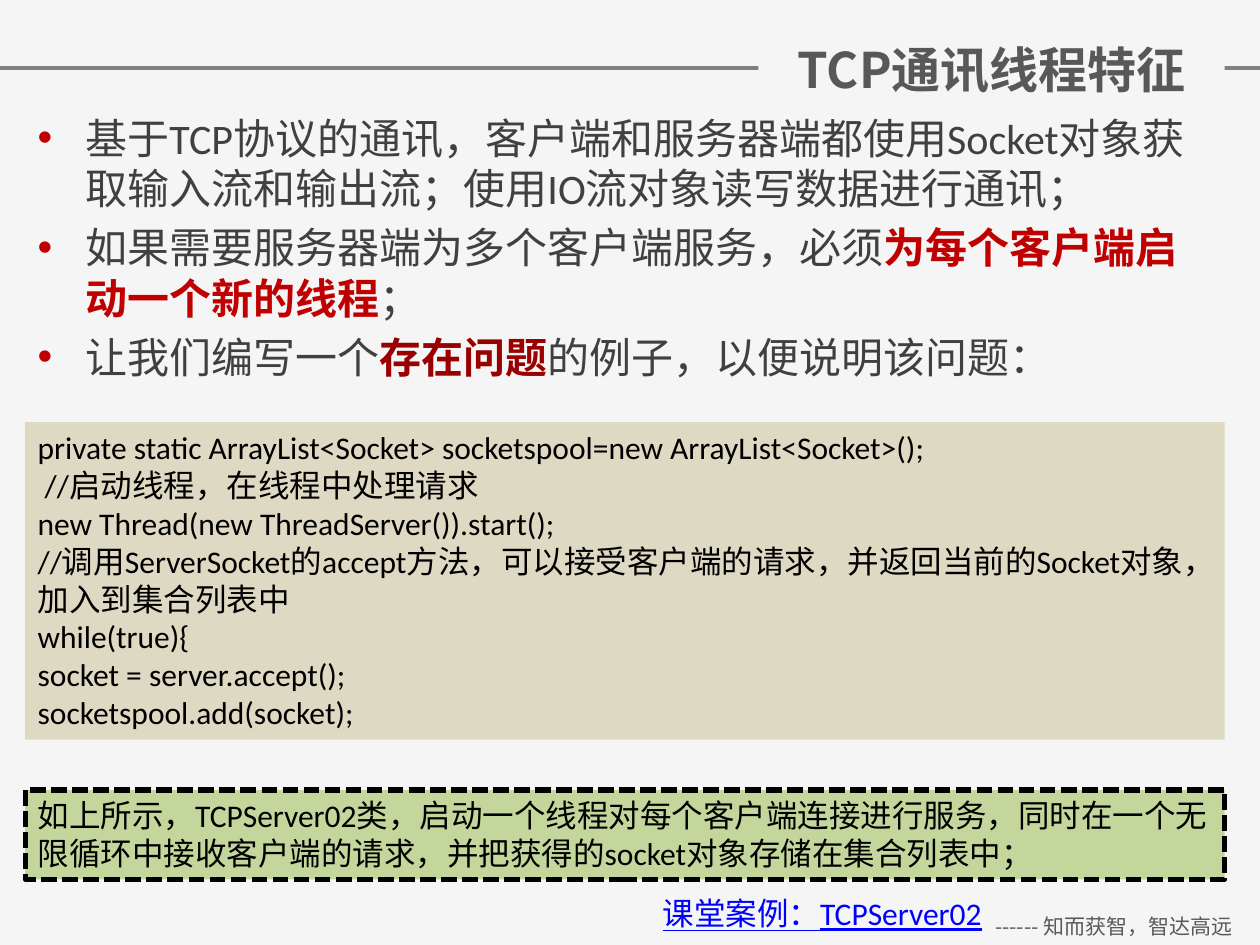
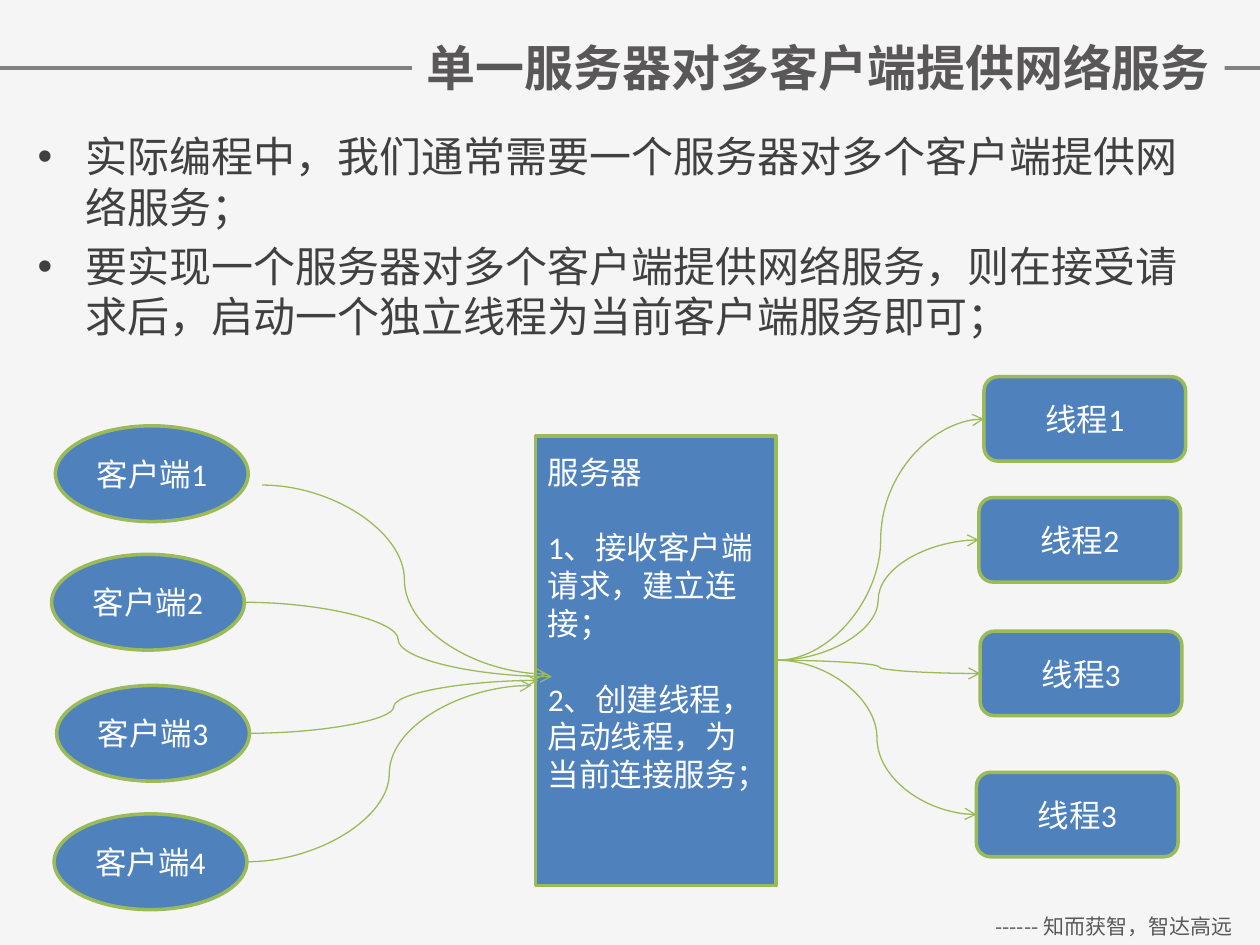
from dataclasses import dataclass
from typing import Optional

import pptx
import pptx.dml.color
import pptx.enum.dml
import pptx.enum.shapes
import pptx.enum.text
import pptx.oxml.ns
import pptx.util
from lxml import etree
from pptx.util import Inches, Pt

SHAPE = pptx.enum.shapes.MSO_SHAPE
CONNECTOR = pptx.enum.shapes.MSO_CONNECTOR
ALIGN = pptx.enum.text.PP_ALIGN
ANCHOR = pptx.enum.text.MSO_ANCHOR
DASH = pptx.enum.dml.MSO_LINE

LATIN, CJK = "Calibri", "Noto Sans CJK SC"
PAPER, RULE, TITLE, FOOTER = "F5F5F5", "808080", "595758", "595959"
BODY, RED, DARK_RED = "404040", "C00000", "990000"
BLACK, WHITE, LINK = "000000", "FFFFFF", "0000FF"
CODE_FILL, NOTE_FILL = "DDD9C3", "C3D69B"
NODE_FILL, NODE_LINE = "4F81BD", "9BBB59"

LEFT, WIDTH = 0.2, 9.52
CLIENT_SIZE, THREAD_SIZE = (1.53, 0.76), (1.6, 0.67)
SERVER_OUT = (6.17, 5.24)


@dataclass(frozen=True)
class Box:
    left: float
    top: float
    width: float
    height: float


@dataclass(frozen=True)
class Style:
    size: float
    color: str
    font: str = LATIN
    bold: bool = False
    underline: bool = False
    align: Optional[ALIGN] = None
    anchor: ANCHOR = ANCHOR.TOP


@dataclass(frozen=True)
class Span:
    text: str
    strong: Optional[str] = None  # colour of a bold highlight


@dataclass(frozen=True)
class Client:
    number: int
    left: float
    top: float
    start: tuple[float, float]
    end: tuple[float, float]


@dataclass(frozen=True)
class Thread:
    number: int
    left: float
    top: float


TITLE_STYLE = Style(28, TITLE, CJK, bold=True, align=ALIGN.CENTER, anchor=ANCHOR.MIDDLE)
FOOTER_STYLE = Style(12, FOOTER, CJK, align=ALIGN.CENTER)
BODY_STYLE = Style(24, BODY)
PANEL_STYLE = Style(18, BLACK)
LINK_STYLE = Style(18, LINK, underline=True)
NODE_STYLE = Style(18, WHITE, align=ALIGN.CENTER, anchor=ANCHOR.MIDDLE)
SERVER_STYLE = Style(18, WHITE, align=ALIGN.LEFT, anchor=ANCHOR.MIDDLE)

TCP_POINTS = [
    [Span("基于TCP协议的通讯，客户端和服务器端都使用Socket对象获取输入流和输出流；使用IO流对象读写数据进行通讯；")],
    [Span("如果需要服务器端为多个客户端服务，必须"), Span("为每个客户端启动一个新的线程", RED), Span("；")],
    [Span("让我们编写一个"), Span("存在问题", DARK_RED), Span("的例子，以便说明该问题：")],
]
CODE_LINES = [
    "private static ArrayList<Socket> socketspool=new ArrayList<Socket>();",
    " //启动线程，在线程中处理请求",
    "new Thread(new ThreadServer()).start();",
    "//调用ServerSocket的accept方法，可以接受客户端的请求，并返回当前的Socket对象，加入到集合列表中",
    "while(true){",
    "socket = server.accept();",
    "socketspool.add(socket);",
]
NOTE = "如上所示，TCPServer02类，启动一个线程对每个客户端连接进行服务，同时在一个无限循环中接收客户端的请求，并把获得的socket对象存储在集合列表中；"
SERVER_POINTS = [
    [Span("实际编程中，我们通常需要一个服务器对多个客户端提供网络服务；")],
    [Span("要实现一个服务器对多个客户端提供网络服务，则在接受请求后，启动一个独立线程为当前客户端服务即可；")],
]
SERVER_TEXT = ["服务器", "1、接收客户端请求，建立连接；", "2、创建线程，启动线程，为当前连接服务；"]
CLIENTS = [
    Client(1, 0.44, 3.38, (2.08, 3.85), (4.34, 5.35)),
    Client(2, 0.41, 4.4, (1.94, 4.78), (4.38, 5.37)),
    Client(3, 0.45, 5.44, (1.98, 5.82), (4.27, 5.4)),
    Client(4, 0.43, 6.46, (1.96, 6.84), (4.22, 5.44)),
]
THREADS = [Thread(1, 7.81, 2.99), Thread(2, 7.77, 3.95), Thread(3, 7.78, 5.01), Thread(3, 7.75, 6.13)]


def rgb(color: str) -> pptx.dml.color.RGBColor:
    return pptx.dml.color.RGBColor.from_string(color)


def add_xml(parent, tag: str, **attributes: str):
    return etree.SubElement(parent, pptx.oxml.ns.qn(tag), attributes)


def style_run(r, style: Style, strong: Optional[str] = None) -> None:
    r.font.size = Pt(style.size)
    r.font.bold = style.bold or strong is not None
    r.font.underline = style.underline
    r.font.color.rgb = rgb(strong or style.color)
    r.font.name = style.font
    add_xml(r.font._element, "a:ea", typeface=CJK)


def write(sp, lines: list[str], style: Style, gap: float = 0) -> None:
    """Fill a shape with plain paragraphs, gap points apart."""
    tf = sp.text_frame
    tf.word_wrap = True
    tf.vertical_anchor = style.anchor
    tf.text = "\n".join(lines)
    for i, p in enumerate(tf.paragraphs):
        p.alignment = style.align or ALIGN.LEFT
        if i and gap:
            p.space_before = Pt(gap)
        for r in p.runs:
            style_run(r, style)


def add_text(slide, box: Box, lines: list[str], style: Style):
    sp = slide.shapes.add_textbox(*map(Inches, (box.left, box.top, box.width, box.height)))
    write(sp, lines, style)
    return sp


def add_panel(slide, kind: SHAPE, box: Box, fill: str, line: Optional[str] = None, weight: float = 2):
    sp = slide.shapes.add_shape(kind, *map(Inches, (box.left, box.top, box.width, box.height)))
    sp.shadow.inherit = False
    sp.fill.solid()
    sp.fill.fore_color.rgb = rgb(fill)
    if line:
        sp.line.color.rgb = rgb(line)
        sp.line.width = Pt(weight)
    else:
        sp.line.fill.background()
    return sp


def add_node(slide, kind: SHAPE, box: Box, lines: list[str], style: Style = NODE_STYLE, gap: float = 0):
    sp = add_panel(slide, kind, box, NODE_FILL, NODE_LINE)
    write(sp, lines, style, gap)
    return sp


def add_line(slide, kind: CONNECTOR, start: tuple[float, float], end: tuple[float, float],
             color: str, weight: float):
    line = slide.shapes.add_connector(kind, *map(Inches, (*start, *end)))
    line.line.color.rgb = rgb(color)
    line.line.width = Pt(weight)
    add_xml(line._element.spPr, "a:effectLst")
    return line


def add_arrow(slide, start: tuple[float, float], end: tuple[float, float]) -> None:
    line = add_line(slide, CONNECTOR.CURVE, start, end, NODE_LINE, 0.75)
    add_xml(line.line._get_or_add_ln(), "a:tailEnd", type="arrow")


def add_bullets(slide, box: Box, points: list[list[Span]], bullet_color: str) -> None:
    tf = add_text(slide, box, [""], BODY_STYLE).text_frame
    for i, spans in enumerate(points):
        p = tf.add_paragraph() if i else tf.paragraphs[0]
        pPr = p._p.get_or_add_pPr()
        pPr.set("marL", str(Inches(0.38)))
        pPr.set("indent", str(-Inches(0.38)))
        add_xml(add_xml(pPr, "a:buClr"), "a:srgbClr", val=bullet_color)
        add_xml(pPr, "a:buFont", typeface="Arial")
        add_xml(pPr, "a:buChar", char="•")
        if i:
            p.space_before = Pt(5)
        for span in spans:
            r = p.add_run()
            r.text = span.text
            style_run(r, BODY_STYLE, span.strong)


def add_slide(prs, title: str, title_box: Box):
    """Start a slide with the background, rule, footer and title."""
    slide = prs.slides.add_slide(prs.slide_layouts[6])
    slide.background.fill.solid()
    slide.background.fill.fore_color.rgb = rgb(PAPER)
    add_line(slide, CONNECTOR.STRAIGHT, (0, 0.54), (10, 0.54), RULE, 2)
    add_text(slide, Box(7.68, 7.2, 2.32, 0.3), ["------ 知而获智，智达高远"], FOOTER_STYLE)
    write(add_panel(slide, SHAPE.RECTANGLE, title_box, PAPER), [title], TITLE_STYLE)
    return slide


def build_thread_features(prs) -> None:
    slide = add_slide(prs, "TCP通讯线程特征", Box(6.02, 0.26, 3.7, 0.57))
    add_bullets(slide, Box(LEFT, 0.84, WIDTH, 2.81), TCP_POINTS, RED)
    code = add_panel(slide, SHAPE.RECTANGLE, Box(LEFT, 3.35, WIDTH, 2.52), CODE_FILL)
    write(code, CODE_LINES, PANEL_STYLE)
    note = add_panel(slide, SHAPE.RECTANGLE, Box(LEFT, 6.27, WIDTH, 0.71), NOTE_FILL, BLACK, 3)
    note.line.dash_style = DASH.SQUARE_DOT
    write(note, [NOTE], PANEL_STYLE)
    add_text(slide, Box(5.16, 7.05, 2.91, 0.4), ["课堂案例：TCPServer02"], LINK_STYLE)


def build_server_diagram(prs) -> None:
    slide = add_slide(prs, "单一服务器对多客户端提供网络服务", Box(3.27, 0.07, 6.45, 0.92))
    add_bullets(slide, Box(LEFT, 0.99, WIDTH, 1.91), SERVER_POINTS, BODY)
    for client in CLIENTS:
        add_node(slide, SHAPE.OVAL, Box(client.left, client.top, *CLIENT_SIZE), [f"客户端{client.number}"])
    server = add_node(slide, SHAPE.RECTANGLE, Box(4.25, 3.46, 1.91, 3.57), SERVER_TEXT, SERVER_STYLE, gap=21.6)
    server.text_frame.margin_bottom = Inches(0.65)
    for thread in THREADS:
        add_node(slide, SHAPE.ROUNDED_RECTANGLE, Box(thread.left, thread.top, *THREAD_SIZE),
                 [f"线程{thread.number}"])
    for client in CLIENTS:
        add_arrow(slide, client.start, client.end)
    for thread in THREADS:
        add_arrow(slide, SERVER_OUT, (thread.left, thread.top + THREAD_SIZE[1] / 2))


def main() -> None:
    prs = pptx.Presentation()
    prs.slide_width, prs.slide_height = Inches(10), Inches(7.5)
    build_thread_features(prs)
    build_server_diagram(prs)
    prs.save("out.pptx")


if __name__ == "__main__":
    main()
